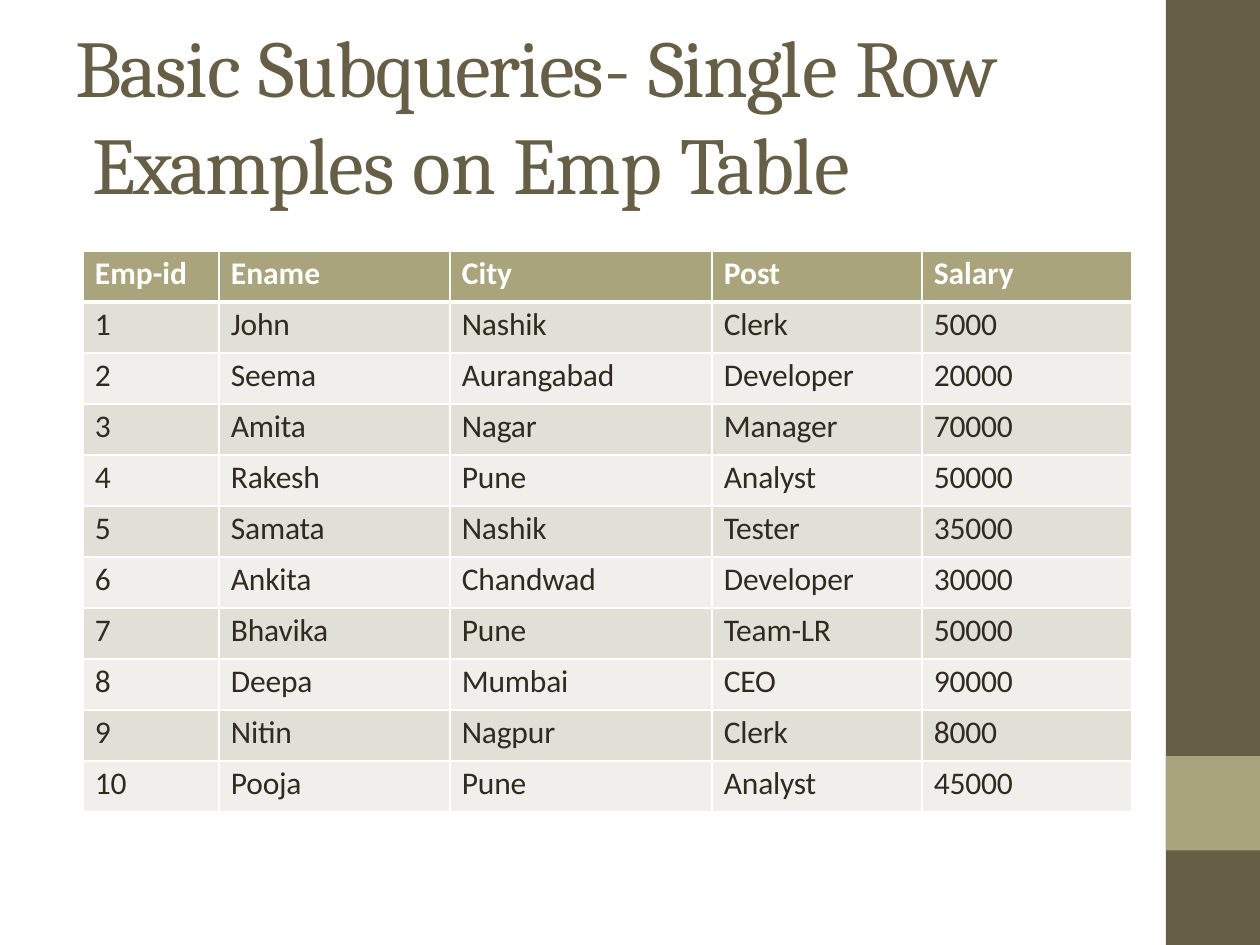
from dataclasses import dataclass

from lxml import etree
from pptx import Presentation, util as u
from pptx.dml.color import RGBColor
from pptx.enum import shapes, text
from pptx.oxml import ns

SCALE = u.Inches(1) / 126


@dataclass(frozen=True)
class Theme:
    dark: str = "675E46"
    accent: str = "A9A47B"
    ink: str = "2E2B1F"
    white: str = "FFFFFF"
    band_odd: str = "E1E0D6"
    band_even: str = "F0EFEB"
    title_font: str = "Cambria"
    body_font: str = "Calibri"
    title_size: float = 46
    body_size: float = 18


THEME = Theme()
TITLE = ["Basic Subqueries- Single Row", "Examples on Emp Table"]
EMPLOYEES = [
    ["Emp-id", "Ename", "City", "Post", "Salary"],
    ["1", "John", "Nashik", "Clerk", "5000"],
    ["2", "Seema", "Aurangabad", "Developer", "20000"],
    ["3", "Amita", "Nagar", "Manager", "70000"],
    ["4", "Rakesh", "Pune", "Analyst", "50000"],
    ["5", "Samata", "Nashik", "Tester", "35000"],
    ["6", "Ankita", "Chandwad", "Developer", "30000"],
    ["7", "Bhavika", "Pune", "Team-LR", "50000"],
    ["8", "Deepa", "Mumbai", "CEO", "90000"],
    ["9", "Nitin", "Nagpur", "Clerk", "8000"],
    ["10", "Pooja", "Pune", "Analyst", "45000"],
]


def px(n):
    return u.Emu(round(n * SCALE))


def add_text(p, words, font, size, color, bold=False, spacing=0.0):
    r = p.add_run()
    r.text = words
    r.font.name, r.font.size, r.font.bold = font, u.Pt(size), bold
    r.font.color.rgb = RGBColor.from_string(color)
    if spacing:
        r.font._element.set("spc", str(round(spacing * 100)))


def add_block(s, x, y, w, h, color):
    sp = s.shapes.add_shape(shapes.MSO_SHAPE.RECTANGLE, px(x), px(y), px(w), px(h))
    sp.shadow.inherit = False
    sp.fill.solid()
    sp.fill.fore_color.rgb = RGBColor.from_string(color)
    sp.line.fill.background()


def add_sidebar(s, x, y, w, h):
    add_block(s, x, y, w, h, THEME.dark)
    add_block(s, x, y + h * 0.8, w, h * 0.1, THEME.accent)


def add_title(s, x, y, w, h):
    tf = s.shapes.add_textbox(px(x), px(y), px(w), px(h)).text_frame
    tf.word_wrap = True
    tf.margin_left = tf.margin_right = tf.margin_bottom = 0
    tf.margin_top = px(1)
    for i, line in enumerate(TITLE):
        p = tf.paragraphs[0] if i == 0 else tf.add_paragraph()
        p._p.get_or_add_pPr().set("marL", str(px(1 + 17 * i)))
        p.space_before = u.Pt(0 if i else 0.9)
        # Letters are tight; the end of each word keeps its normal gap
        words = line.split()
        for n, word in enumerate(words):
            gap = " " if n < len(words) - 1 else ""
            for part, spacing in ((word[:-1], -1.1), (word[-1] + gap, -0.1)):
                if part:
                    add_text(p, part, THEME.title_font, THEME.title_size,
                             THEME.dark, spacing=spacing)


def set_borders(cell, top, bottom):
    tc_pr = cell._tc.get_or_add_tcPr()
    for side, width in (("L", 1), ("R", 1), ("T", top), ("B", bottom)):
        ln = etree.SubElement(tc_pr, ns.qn("a:ln" + side), w=str(u.Pt(width)))
        fill = etree.SubElement(ln, ns.qn("a:solidFill"))
        etree.SubElement(fill, ns.qn("a:srgbClr"), val=THEME.white)


def add_employee_table(s, x, y, col_widths, row_height):
    rows, cols = len(EMPLOYEES), len(col_widths)
    table = s.shapes.add_table(rows, cols, px(x), px(y), px(sum(col_widths)),
                               px(rows * row_height)).table
    for col, width in zip(table.columns, col_widths):
        col.width = px(width)
    for i, values in enumerate(EMPLOYEES):
        table.rows[i].height = px(row_height)
        header = i == 0
        band = THEME.band_odd if i % 2 else THEME.band_even
        for j, value in enumerate(values):
            cell = table.cell(i, j)
            set_borders(cell, 3 if i == 1 else 1, 3 if header else 1)
            cell.fill.solid()
            cell.fill.fore_color.rgb = RGBColor.from_string(
                THEME.accent if header else band)
            cell.margin_left, cell.margin_top = px(12), px(4)
            cell.margin_right = cell.margin_bottom = 0
            cell.vertical_anchor = text.MSO_ANCHOR.TOP
            p = cell.text_frame.paragraphs[0]
            p.space_before = u.Pt(2.4)
            add_text(p, value, THEME.body_font, THEME.body_size,
                     THEME.white if header else THEME.ink, bold=header,
                     spacing=0 if header else -0.1)


prs = Presentation()
prs.slide_width, prs.slide_height = px(1260), px(945)
s = prs.slides.add_slide(prs.slide_layouts[6])
add_sidebar(s, 1166, 0, 94, 945)
add_title(s, 74, 16, 1024, 197)
add_employee_table(s, 83, 251, [136, 231, 262, 210, 210], 51)
prs.save("out.pptx")
